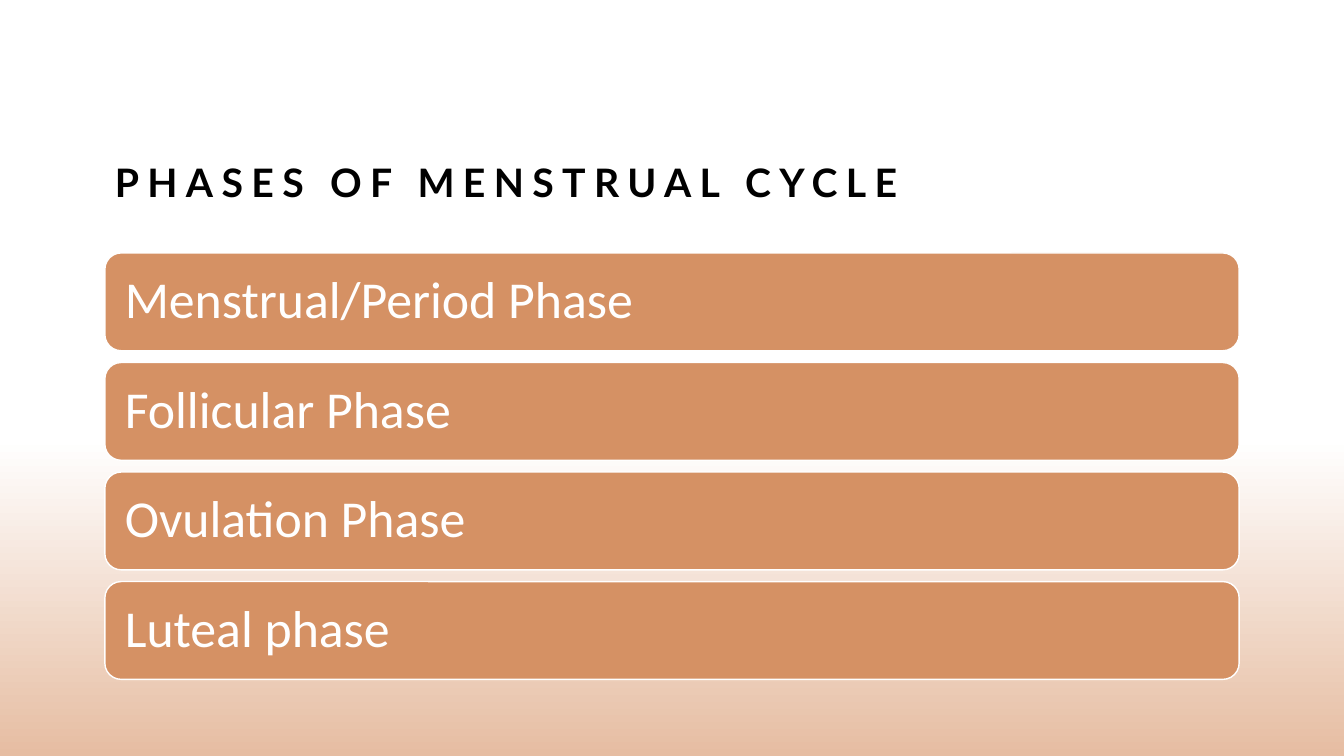
from pptx import Presentation
from pptx.dml.color import RGBColor
from pptx.enum import shapes, text
from pptx.util import Inches, Pt

WHITE = RGBColor(0xFF, 0xFF, 0xFF)
BLACK = RGBColor(0, 0, 0)
PEACH = RGBColor(0xE6, 0xBD, 0xA2)
COPPER = RGBColor(0xD5, 0x91, 0x64)

PHASES = ["Menstrual/Period Phase", "Follicular Phase", "Ovulation Phase", "Luteal phase"]


def add_line(frame, words, font, size, color, spacing):
    """Write one left-aligned paragraph and return its run."""
    line = frame.paragraphs[0]
    line.alignment = text.PP_ALIGN.LEFT
    line.line_spacing = spacing
    run = line.add_run()
    run.text = words
    run.font.name = font
    run.font.size = Pt(size)
    run.font.color.rgb = color
    return run


def add_glow(slide, left, top, width, height):
    """Vertical fade from white to peach."""
    glow = slide.shapes.add_shape(shapes.MSO_SHAPE.RECTANGLE, Inches(left), Inches(top),
                                  Inches(width), Inches(height))
    glow.shadow.inherit = False
    glow.line.fill.background()
    glow.fill.gradient()
    glow.fill.gradient_angle = 270
    for stop, position, color in zip(glow.fill.gradient_stops, (0.14, 1), (WHITE, PEACH)):
        stop.position = position
        stop.color.rgb = color


def add_title(slide, left, top, width, height):
    title = slide.shapes.add_textbox(Inches(left), Inches(top), Inches(width), Inches(height))
    frame = title.text_frame
    frame.word_wrap = True
    frame.vertical_anchor = text.MSO_ANCHOR.BOTTOM
    run = add_line(frame, "PHASES OF MENSTRUAL CYCLE", "Lato", 28, BLACK, 1.2)
    run.font.bold = True
    run.font._element.set("spc", "600")  # letter spacing, 6 pt


def add_phases(slide, left, top, width, height, bar_height=0.97):
    """Spread one rounded bar per phase evenly over the box."""
    pitch = (height - bar_height) / (len(PHASES) - 1)
    for row, phase in enumerate(PHASES):
        bar = slide.shapes.add_shape(shapes.MSO_SHAPE.ROUNDED_RECTANGLE, Inches(left),
                                     Inches(top + row * pitch), Inches(width), Inches(bar_height))
        bar.shadow.inherit = False
        bar.fill.solid()
        bar.fill.fore_color.rgb = COPPER
        bar.line.color.rgb = WHITE
        bar.line.width = Pt(1)
        frame = bar.text_frame
        frame.word_wrap = True
        frame.vertical_anchor = text.MSO_ANCHOR.MIDDLE
        frame.margin_left = frame.margin_right = Inches(0.15)
        add_line(frame, phase, "Calibri", 37, WHITE, 0.9)


def main():
    deck = Presentation()
    deck.slide_width, deck.slide_height = Inches(13.33), Inches(7.5)
    slide = deck.slides.add_slide(deck.slide_layouts[6])
    slide.background.fill.solid()
    slide.background.fill.fore_color.rgb = WHITE

    add_glow(slide, 0, 3.84, 13.33, 3.66)
    add_title(slide, 1.04, 0.83, 11.25, 1.26)
    add_phases(slide, 1.04, 2.51, 11.25, 4.23)
    deck.save("out.pptx")


if __name__ == "__main__":
    main()
